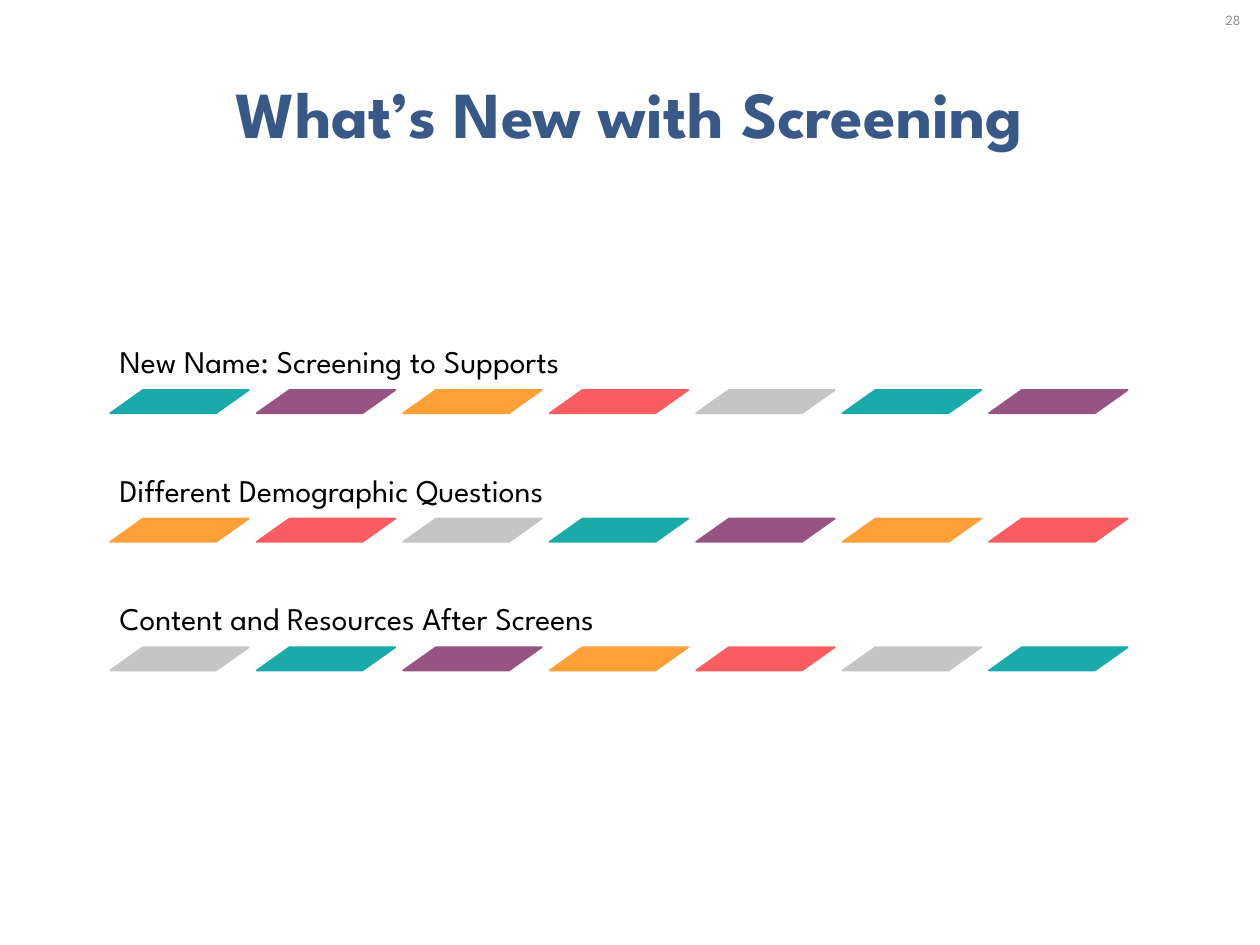
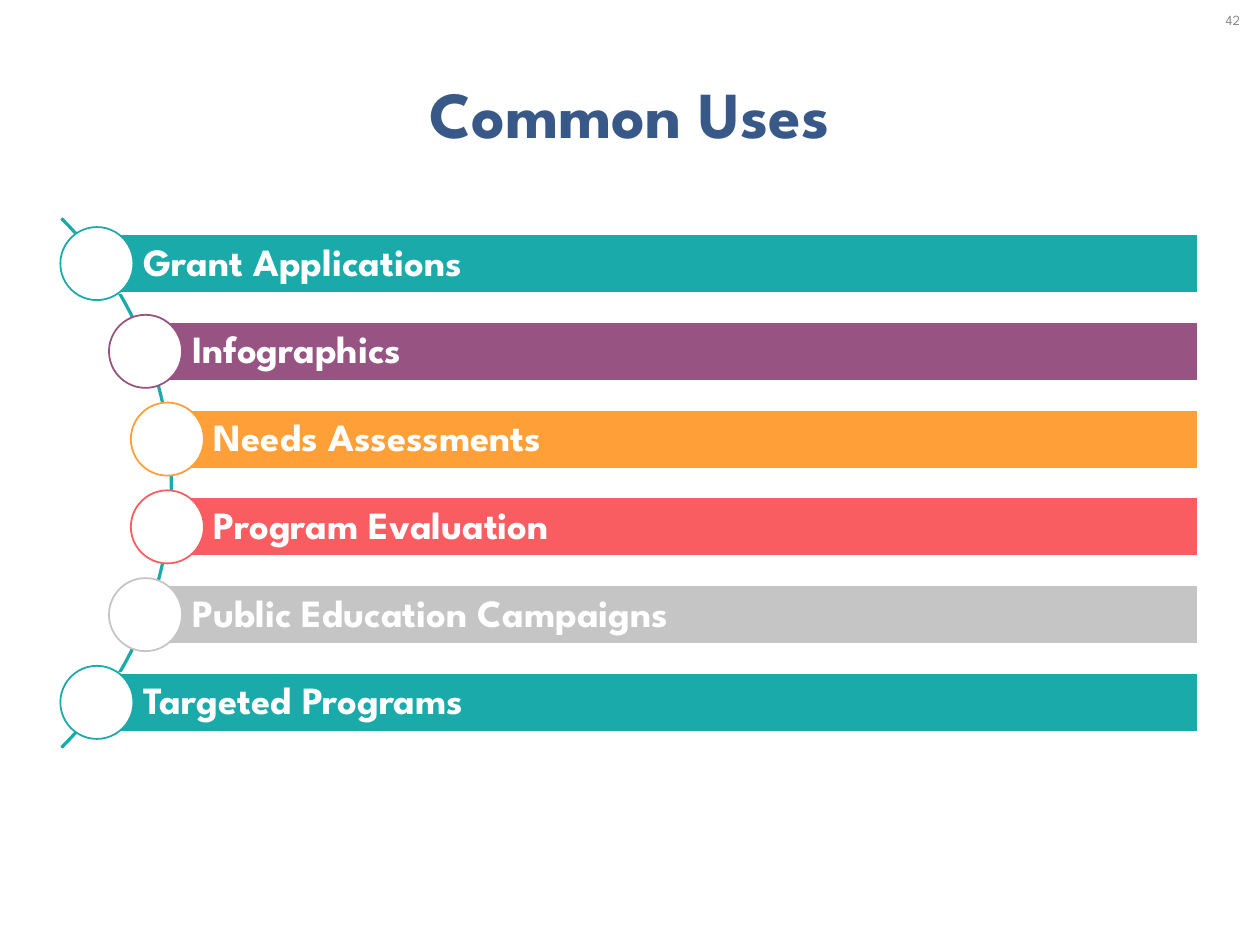
from collections import namedtuple
from itertools import cycle
from math import sqrt

from pptx import Presentation
from pptx.dml.color import RGBColor
from pptx.enum.shapes import MSO_SHAPE
from pptx.enum.text import MSO_ANCHOR, MSO_AUTO_SIZE, PP_ALIGN
from pptx.util import Pt

Box = namedtuple("Box", "left top width height")

PARALLELOGRAM = MSO_SHAPE.PARALLELOGRAM
RECTANGLE = MSO_SHAPE.RECTANGLE
OVAL = MSO_SHAPE.OVAL
BLOCK_ARC = MSO_SHAPE.BLOCK_ARC
MIDDLE = MSO_ANCHOR.MIDDLE
BOTTOM = MSO_ANCHOR.BOTTOM
NO_AUTOFIT = MSO_AUTO_SIZE.NONE
LEFT = PP_ALIGN.LEFT
CENTER = PP_ALIGN.CENTER

FONT = "League Spartan"
WHITE = "FFFFFF"
BLACK = "000000"
TITLE_BLUE = "385988"
PAGE_GRAY = "8C8C8C"
TEAL = "1BAAAA"
PALETTE = (TEAL, "975381", "FF9F37", "F95D62", "C5C5C5")
LINE_WIDTH = 2
TITLE_ONLY = 5

PAGE_BOX = Box(1378, 0, 62, 45)
TITLE_BOX = Box(60, 75.6, 1318, 104.4)
ROWS_BOX = Box(126, 337.7, 1186.6, 428.6)
USES_BOX = Box(69, 259.5, 1300.4, 585)


def color(value):
    return RGBColor.from_string(value)


def place(shape, box):
    shape.left, shape.top, shape.width, shape.height = (Pt(length) for length in box)


def write(shape, text, size, hue, bold=False, alignment=LEFT, anchor=MIDDLE,
          insets=(7.2, 3.6, 7.2, 3.6), spacing=1.0):
    frame = shape.text_frame
    frame.word_wrap = True
    frame.auto_size = NO_AUTOFIT
    frame.vertical_anchor = anchor
    frame.margin_left, frame.margin_top, frame.margin_right, frame.margin_bottom = (
        Pt(inset) for inset in insets)
    paragraph = frame.paragraphs[0]
    paragraph.alignment = alignment
    paragraph.line_spacing = spacing
    run = paragraph.add_run()
    run.text = text
    run.font.name = FONT
    run.font.size = Pt(size)
    run.font.bold = bold
    run.font.color.rgb = color(hue)


def add_text(slide, box, text, size, hue, **style):
    shape = slide.shapes.add_textbox(*(Pt(length) for length in box))
    write(shape, text, size, hue, **style)


def add_shape(slide, kind, box, line, fill=None):
    shape = slide.shapes.add_shape(kind, *(Pt(length) for length in box))
    shape.shadow.inherit = False
    if fill:
        shape.fill.solid()
        shape.fill.fore_color.rgb = color(fill)
    else:
        shape.fill.background()
    shape.line.color.rgb = color(line)
    shape.line.width = Pt(LINE_WIDTH)
    return shape


def add_slide(presentation, title, page):
    slide = presentation.slides.add_slide(presentation.slide_layouts[TITLE_ONLY])
    place(slide.shapes.title, TITLE_BOX)
    write(slide.shapes.title, title, 75, TITLE_BLUE, bold=True, alignment=CENTER)
    add_text(slide, PAGE_BOX, page, 16, PAGE_GRAY, alignment=CENTER)
    return slide


def add_striped_rows(slide, box, captions):
    caption_height, stripe_width, stripe_height, stripe_count = 108, 158.4, 26.6, 7
    row_step = (box.height - caption_height - stripe_height) / (len(captions) - 1)
    stripe_step = 167.4
    hues = cycle(PALETTE)
    for row, caption in enumerate(captions):
        top = box.top + row * row_step
        add_text(slide, Box(box.left, top, box.width, caption_height), caption,
                 36, BLACK, anchor=BOTTOM, insets=(10.8,) * 4, spacing=0.9)
        for column in range(stripe_count):
            hue = next(hues)
            stripe = add_shape(
                slide, PARALLELOGRAM,
                Box(box.left + column * stripe_step, top + caption_height,
                    stripe_width, stripe_height), hue, hue)
            stripe.adjustments[0] = 1.41


def add_curved_list(slide, box, labels):
    circle_size, bar_height = 83.5, 67
    arc_size, arc_thickness, curve_radius = 855.4, 1.7, 418
    middle = box.top + box.height / 2
    step = (box.height - circle_size) / (len(labels) - 1)
    first_center = box.top + circle_size / 2
    curve_center = (box.left + circle_size / 2
                    - sqrt(curve_radius ** 2 - (middle - first_center) ** 2))

    arc = add_shape(slide, BLOCK_ARC,
                    Box(box.left - 727.8, middle - arc_size / 2, arc_size, arc_size), TEAL)
    for index, value in enumerate((189, 27, arc_thickness / arc_size)):
        arc.adjustments[index] = value

    for index, (label, hue) in enumerate(zip(labels, cycle(PALETTE))):
        center_y = first_center + index * step
        center_x = curve_center + sqrt(curve_radius ** 2 - (center_y - middle) ** 2)
        bar = add_shape(slide, RECTANGLE,
                        Box(center_x, center_y - bar_height / 2,
                            box.left + box.width - center_x, bar_height), WHITE, hue)
        write(bar, label, 44, WHITE, bold=True,
              insets=(53.2, 8.8, 8.8, 8.8), spacing=0.9)
        add_shape(slide, OVAL,
                  Box(center_x - circle_size / 2, center_y - circle_size / 2,
                      circle_size, circle_size), hue, WHITE)


def main():
    presentation = Presentation()
    presentation.slide_width = Pt(1440)
    presentation.slide_height = Pt(1080)

    screening = add_slide(presentation, "What’s New with Screening", "28")
    add_striped_rows(screening, ROWS_BOX, (
        "New Name: Screening to Supports",
        "Different Demographic Questions",
        "Content and Resources After Screens",
    ))

    uses = add_slide(presentation, "Common Uses", "42")
    add_curved_list(uses, USES_BOX, (
        "Grant Applications",
        "Infographics",
        "Needs Assessments",
        "Program Evaluation",
        "Public Education Campaigns",
        "Targeted Programs",
    ))

    presentation.save("out.pptx")


if __name__ == "__main__":
    main()
